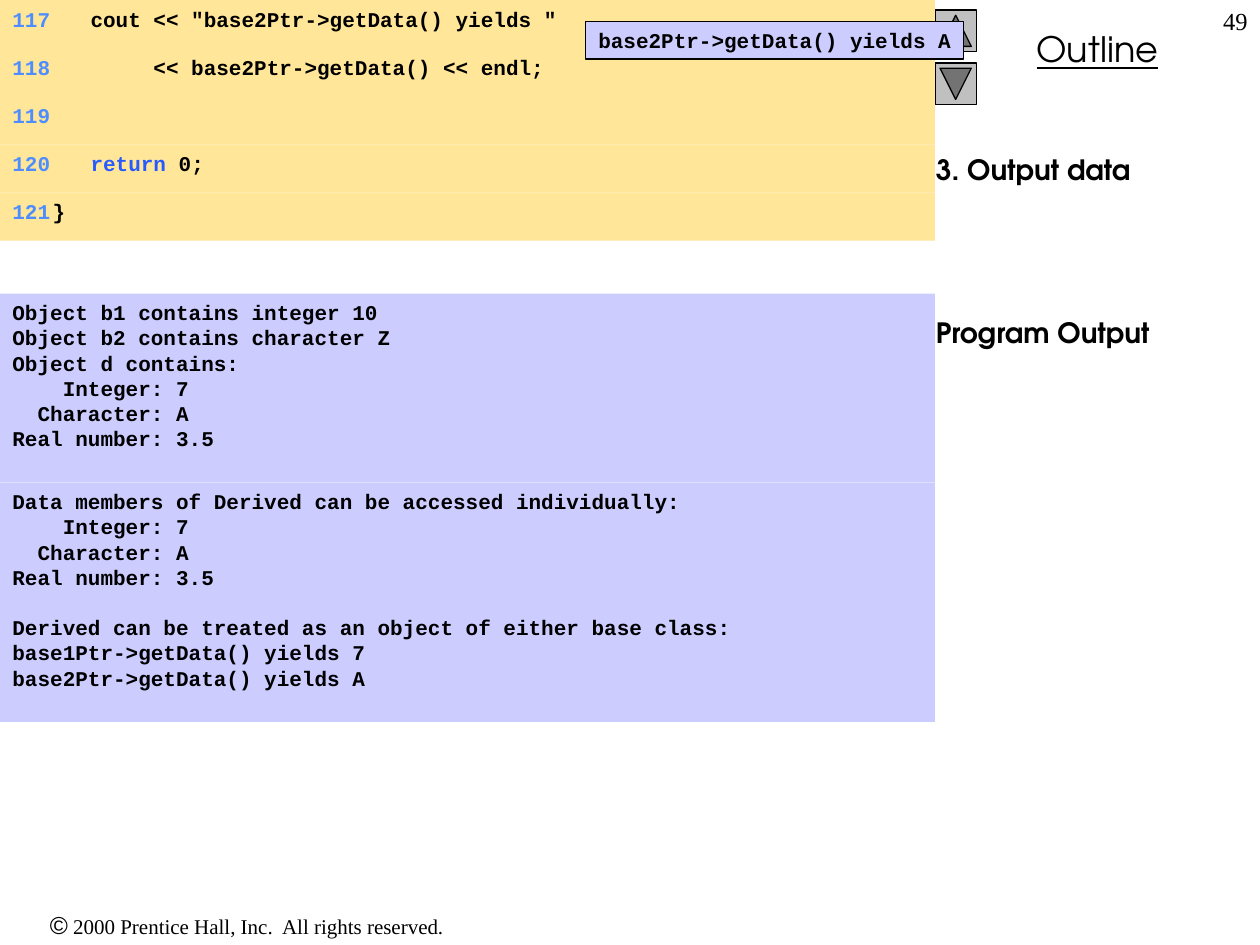
from lxml.etree import SubElement
from pptx import Presentation
from pptx.dml.color import RGBColor
from pptx.enum.shapes import MSO_SHAPE
from pptx.enum.text import MSO_ANCHOR, PP_ALIGN
from pptx.oxml.ns import qn
from pptx.util import Inches, Pt

MONO, SERIF, SANS = "Courier New", "Times New Roman", "TeX Gyre Adventor"
BLACK, BLUE, KEY = "000000", "4D8DFF", "275AFF"
CREAM, LILAC, GRAY = "FFE699", "CCCCFF", "C0C0C0"
WIDE = 7.42

CODE = [
    ("117", [('   cout << "base2Ptr->getData() yields "', BLACK)]),
    ("118", [("        << base2Ptr->getData() << endl;", BLACK)]),
    ("119", []),
    ("120", [("   ", BLACK), ("return", KEY), (" 0;", BLACK)]),
    ("121", [("}", BLACK)]),
]
VALUES = ["    Integer: 7", "  Character: A", "Real number: 3.5"]
FIRST = ["Object b1 contains integer 10", "Object b2 contains character Z",
         "Object d contains:", *VALUES]
SECOND = ["Data members of Derived can be accessed individually:", *VALUES]
THIRD = ["Derived can be treated as an object of either base class:",
         "base1Ptr->getData() yields 7", "base2Ptr->getData() yields A"]


def color(code):
    """Turn a hex string into a colour."""
    return RGBColor.from_string(code)


def add_run(para, text, size, face, tint=BLACK, bold=False, under=False):
    """Append one styled run to a paragraph."""
    run = para.add_run()
    run.text = text
    font = run.font
    font.size, font.name = Pt(size), face
    font.bold, font.underline = bold, under
    font.color.rgb = color(tint)


def add_text(slide, box, align=PP_ALIGN.LEFT):
    """Add a wrapping text box and return its text frame."""
    frame = slide.shapes.add_textbox(*map(Inches, box)).text_frame
    frame.word_wrap = True
    frame.paragraphs[0].alignment = align
    return frame


def add_shape(slide, kind, box, fill, line=None):
    """Add a flat preset shape with an optional outline."""
    shape = slide.shapes.add_shape(kind, *map(Inches, box))
    shape.shadow.inherit = False
    shape.fill.solid()
    shape.fill.fore_color.rgb = color(fill)
    if line:
        shape.line.color.rgb = color(line)
        shape.line.width = Pt(0.75)
    else:
        shape.line.fill.background()
    return shape


def add_panel(slide, box, fill, line=None):
    """Add a rectangle for code and return its text frame."""
    frame = add_shape(slide, MSO_SHAPE.RECTANGLE, box, fill, line).text_frame
    frame.vertical_anchor = MSO_ANCHOR.TOP
    frame.paragraphs[0].alignment = PP_ALIGN.LEFT
    return frame


def add_lines(frame, lines):
    """Write bold code lines, one per paragraph, and return the paragraphs."""
    paras = [frame.paragraphs[0]]
    paras += [frame.add_paragraph() for _ in lines[1:]]
    for para, text in zip(paras, lines):
        para.alignment = PP_ALIGN.LEFT
        add_run(para, text, 12, MONO, bold=True)
    return paras


def add_code(slide, row, number, parts):
    """Add one numbered code line in its own band."""
    high = 1.91 / len(CODE)
    para = add_panel(slide, (0, row * high, WIDE, high), CREAM).paragraphs[0]
    tabs = SubElement(para._p.get_or_add_pPr(), qn("a:tabLst"))
    SubElement(tabs, qn("a:tab"), pos=str(Inches(0.32)), algn="l")
    add_run(para, number + "\t", 12, MONO, BLUE, True)
    for text, tint in parts:
        add_run(para, text, 12, MONO, tint, True)


def add_button(slide, top, turn):
    """Add a square arrow button turned up or down."""
    kind = MSO_SHAPE.ACTION_BUTTON_BACK_OR_PREVIOUS
    box = (WIDE, top, 0.33, 0.33)
    add_shape(slide, kind, box, GRAY, BLACK).rotation = turn


def main():
    """Build the slide and save it."""
    deck = Presentation()
    deck.slide_width, deck.slide_height = Inches(10), Inches(7.5)
    slide = deck.slides.add_slide(deck.slide_layouts[6])

    foot = add_text(slide, (0, 7.17, 3.92, 0.34), PP_ALIGN.CENTER).paragraphs[0]
    add_run(foot, "©", 14, "Arial")
    add_run(foot, " 2000 Prentice Hall, Inc.  All rights reserved.", 12, SERIF)
    head = add_text(slide, (WIDE, 0.17, 2.58, 0.44), PP_ALIGN.CENTER)
    add_run(head.paragraphs[0], "Outline", 20, SANS, under=True)
    add_button(slide, 0.08, 90)
    add_button(slide, 0.5, 270)

    side = add_text(slide, (7.33, 1.16, 2.67, 6.34))
    add_run(side.paragraphs[0], "3. Output data", 16, SANS, bold=True)
    label = side.add_paragraph()
    label.space_before = Pt(74)
    add_run(label, "Program Output", 16, SANS, bold=True)

    for row, (number, parts) in enumerate(CODE):
        add_code(slide, row, number, parts)

    add_lines(add_panel(slide, (0, 2.33, WIDE, 1.5), LILAC), FIRST)
    lower = add_panel(slide, (0, 3.83, WIDE, 1.9), LILAC)
    paras = add_lines(lower, SECOND + THIRD)
    paras[len(SECOND)].space_before = Pt(14.4)

    note = add_panel(slide, (4.65, 0.17, 3, 0.3), LILAC, BLACK)
    note.word_wrap = False
    add_lines(note, THIRD[-1:])
    page = add_text(slide, (7.92, 0, 2.08, 0.5), PP_ALIGN.RIGHT)
    add_run(page.paragraphs[0], "49", 14, SERIF)
    deck.save("out.pptx")


if __name__ == "__main__":
    main()
